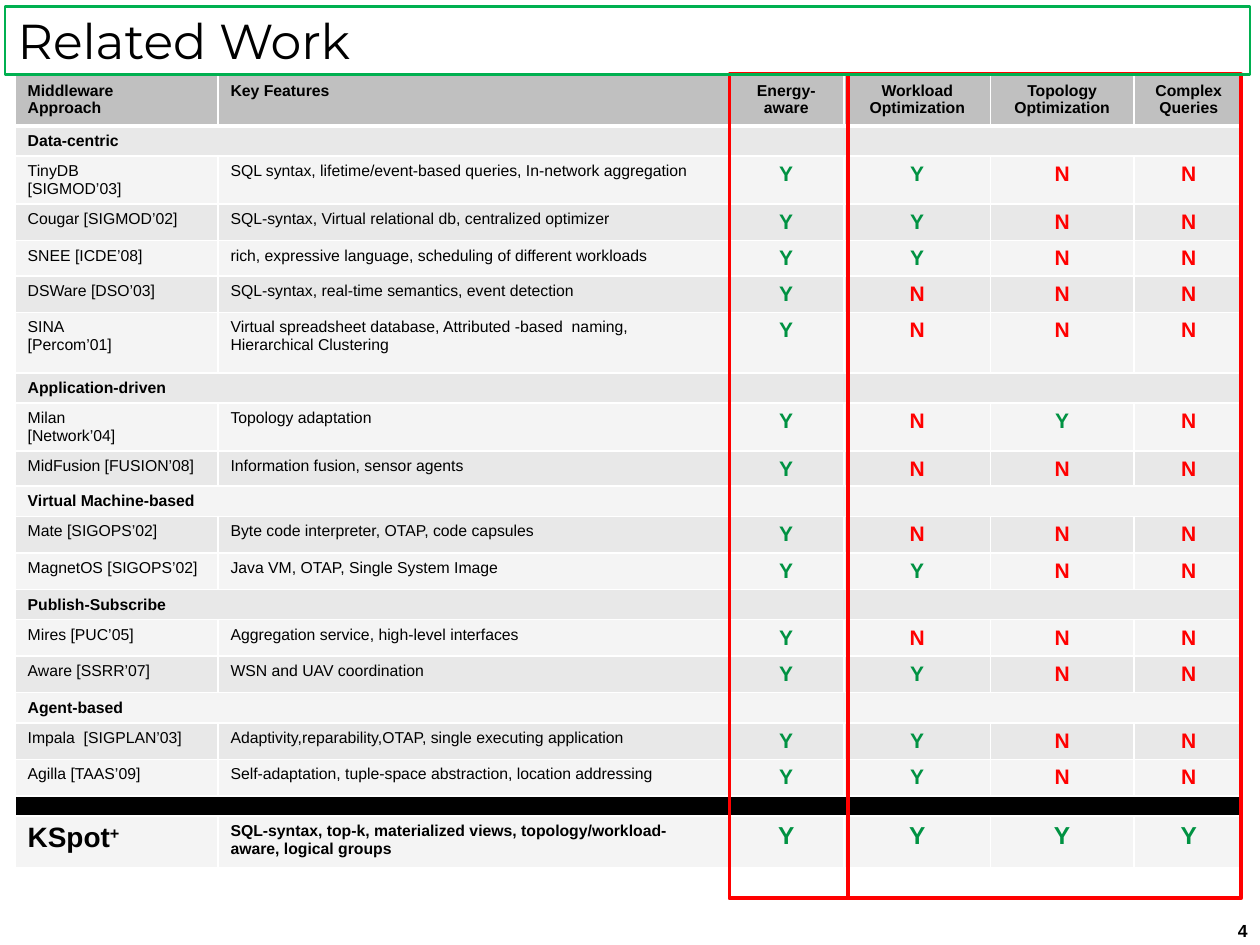
from lxml import etree
from pptx import Presentation
from pptx.dml.color import RGBColor
from pptx.enum.shapes import MSO_SHAPE as SHAPE
from pptx.enum.text import MSO_ANCHOR as ANCHOR, MSO_AUTO_SIZE as AUTO, PP_ALIGN as ALIGN
from pptx.oxml.ns import qn
from pptx.util import Inches, Pt

BLACK, WHITE, RED, GREEN = "000000", "FFFFFF", "FF0000", "009242"
HEAD_FILL, BANDS = "C0C0C0", ("F4F4F4", "E8E8E8")
COLS = [1.61, 4.05, 0.92, 1.16, 1.14, 0.87]
HEADINGS = ["Middleware\nApproach", "Key Features", "Energy-aware",
            "Workload Optimization", "Topology Optimization", "Complex Queries"]

# Section rows hold one text; system rows hold name, features, marks, height
ROWS = [
    ("Data-centric",),
    ("TinyDB\n[SIGMOD’03]", "SQL syntax, lifetime/event-based queries, In-network aggregation", "YYNN", 0.38),
    ("Cougar [SIGMOD’02]", "SQL-syntax, Virtual relational db, centralized optimizer", "YYNN", 0.29),
    ("SNEE [ICDE’08]", "rich, expressive language, scheduling of different workloads", "YYNN", 0.28),
    ("DSWare [DSO’03]", "SQL-syntax, real-time semantics, event detection", "YNNN", 0.29),
    ("SINA\n[Percom’01]", "Virtual spreadsheet database, Attributed -based  naming, Hierarchical Clustering", "YNNN", 0.48),
    ("Application-driven",),
    ("Milan\n[Network’04]", "Topology adaptation", "YNYN", 0.38),
    ("MidFusion [FUSION’08]", "Information fusion, sensor agents", "YNNN", 0.28),
    ("Virtual Machine-based",),
    ("Mate [SIGOPS’02]", "Byte code interpreter, OTAP, code capsules", "YNNN", 0.29),
    ("MagnetOS [SIGOPS’02]", "Java VM, OTAP, Single System Image", "YYNN", 0.29),
    ("Publish-Subscribe",),
    ("Mires [PUC’05]", "Aggregation service, high-level interfaces", "YNNN", 0.29),
    ("Aware [SSRR’07]", "WSN and UAV coordination", "YYNN", 0.29),
    ("Agent-based",),
    ("Impala  [SIGPLAN’03]", "Adaptivity,reparability,OTAP, single executing application", "YYNN", 0.29),
    ("Agilla [TAAS’09]", "Self-adaptation, tuple-space abstraction, location addressing", "YYNN", 0.29),
    ("",),
    ("KSpot", "SQL-syntax, top-k, materialized views, topology/workload-aware, logical groups", "YYYY", 0.41),
]


def rgb(color):
    return RGBColor.from_string(color)


def format_run(r, color=BLACK, size=9, bold=False, name="Arial"):
    for key, value in {"size": Pt(size), "bold": bold, "name": name}.items():
        setattr(r.font, key, value)
    r.font.color.rgb = rgb(color)


def write(tf, text, align=ALIGN.LEFT, **fmt):
    tf.text = text
    for p in tf.paragraphs:
        p.alignment = align
        for r in p.runs:
            format_run(r, **fmt)


def set_borders(cell, bottom=1):
    tc_pr = cell._tc.get_or_add_tcPr()
    widths = {"a:lnL": 1, "a:lnR": 1, "a:lnT": 1, "a:lnB": bottom}
    for i, (tag, width) in enumerate(widths.items()):
        ln = etree.Element(qn(tag), w=str(Pt(width)))
        fill = etree.SubElement(ln, qn("a:solidFill"))
        etree.SubElement(fill, qn("a:srgbClr"), val=WHITE)
        tc_pr.insert(i, ln)


def shrink_empty(cell):
    """Keep a cell without text from stretching its row."""
    for side in ("margin_top", "margin_bottom"):
        setattr(cell, side, 0)
    p = cell.text_frame.paragraphs[0]
    etree.SubElement(p._p, qn("a:endParaRPr"), sz="600")


def style_row(row, fill, height, bottom=1):
    row.height = Inches(height)
    for cell in row.cells:
        cell.margin_bottom = Inches(0.02)
        cell.fill.solid()
        cell.fill.fore_color.rgb = rgb(fill)
        set_borders(cell, bottom)


def fill_section(row, text):
    cells = list(row.cells)
    for cell in cells if not text else cells[1:]:
        shrink_empty(cell)
    cells[0].merge(cells[-1])
    if text:
        write(cells[0].text_frame, text, bold=True)


def fill_system(row, name, features, marks, last):
    cells = list(row.cells)
    write(cells[0].text_frame, name, size=16 if last else 9, bold=last)
    cells[1].margin_right = Inches(0.2)
    write(cells[1].text_frame, features, bold=last)
    for cell, mark in zip(cells[2:], marks):
        write(cell.text_frame, mark, ALIGN.CENTER, size=14 if last else 12,
              bold=True, color=GREEN if mark == "Y" else RED)
    if last:
        r = cells[0].text_frame.paragraphs[0].add_run()
        r.text = "+"
        format_run(r, size=16, bold=True)
        r.font._element.set("baseline", "30000")


def add_comparison(s):
    frame = s.shapes.add_table(len(ROWS) + 1, len(COLS), Inches(0.12), Inches(0.6),
                               Inches(sum(COLS)), Inches(6.3))
    table = frame.table
    for col, width in zip(table.columns, COLS):
        col.width = Inches(width)
    # Header
    style_row(table.rows[0], HEAD_FILL, 0.4, bottom=3)
    for i, (cell, text) in enumerate(zip(table.rows[0].cells, HEADINGS)):
        write(cell.text_frame, text, ALIGN.LEFT if i < 2 else ALIGN.CENTER, bold=True)
    # Sections and systems
    for i, data in enumerate(ROWS, 1):
        row = table.rows[i]
        if len(data) == 1:
            text = data[0]
            style_row(row, BANDS[i % 2] if text else BLACK, 0.24 if text else 0.16)
            fill_section(row, text)
        else:
            name, features, marks, height = data
            style_row(row, BANDS[i % 2], height)
            fill_system(row, name, features, marks, i == len(ROWS))


def add_highlight(s, left, width):
    sp = s.shapes.add_shape(SHAPE.RECTANGLE, Inches(left), Inches(0.59),
                            Inches(width), Inches(6.54))
    sp.shadow.inherit = False
    sp.fill.background()
    sp.line.color.rgb = rgb(RED)
    sp.line.width = Pt(2.25)


def set_title(s, text):
    sp = s.shapes.title
    box = {"left": 0.04, "top": 0.05, "width": 9.88, "height": 0.54}
    for key, value in box.items():
        setattr(sp, key, Inches(value))
    sp.line.color.rgb = rgb("00B050")
    sp.line.width = Pt(1.5)
    tf = sp.text_frame
    tf.auto_size, tf.vertical_anchor = AUTO.NONE, ANCHOR.MIDDLE
    write(tf, text, size=28, name="Montserrat")
    s.shapes._spTree.append(sp._element)  # bring to front


def add_page_number(s, text):
    sp = s.shapes.add_textbox(Inches(7.92), Inches(7.25), Inches(2.08), Inches(0.25))
    sp.text_frame.word_wrap = True
    write(sp.text_frame, text, ALIGN.RIGHT, size=10, bold=True)


def main():
    prs = Presentation()
    prs.slide_width, prs.slide_height = Inches(10), Inches(7.5)
    s = prs.slides.add_slide(prs.slide_layouts[5])
    add_page_number(s, "4")
    add_comparison(s)
    # Frames around the energy column and the optimization columns
    for left, width in ((5.79, 0.94), (6.73, 3.12)):
        add_highlight(s, left, width)
    set_title(s, "Related Work")
    prs.save("out.pptx")


if __name__ == "__main__":
    main()
